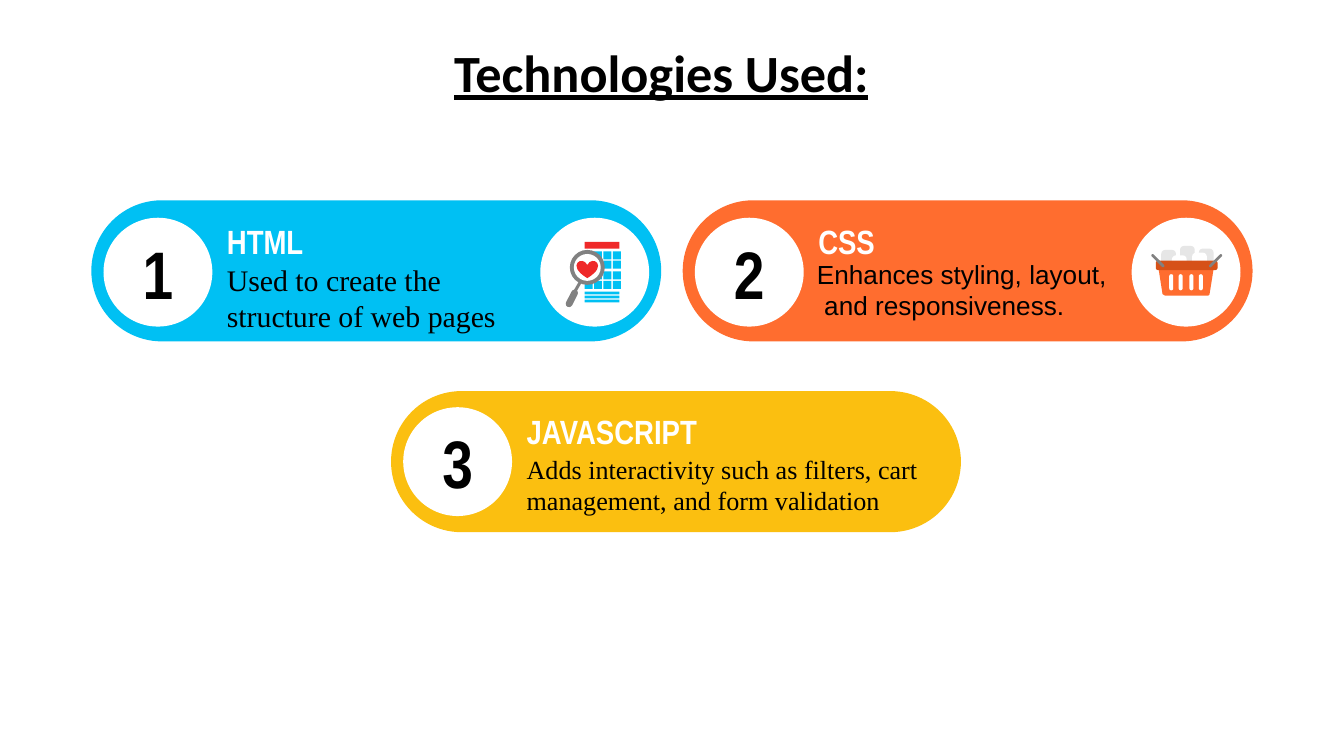
from dataclasses import dataclass
from typing import Callable, Optional

from pptx import Presentation
from pptx.dml.color import RGBColor
from pptx.enum import shapes, text

PX = 9144
SLIDE_WIDTH = 1000
INSET = 10
PRESET = shapes.MSO_SHAPE
ALIGN = text.PP_ALIGN
ANCHOR = text.MSO_ANCHOR


@dataclass(frozen=True)
class Theme:
    ink: str = "000000"
    paper: str = "FFFFFF"
    blue: str = "00C0F3"
    orange: str = "FF6D2F"
    yellow: str = "FBBF10"
    red: str = "EF2929"
    grey: str = "818181"
    pale: str = "E6E6E6"
    rust: str = "D65118"
    title_font: str = "Calibri"
    label_font: str = "Arial Narrow"
    serif_font: str = "Times New Roman"
    sans_font: str = "Arial"
    title_size: int = 28
    number_size: int = 36
    heading_size: int = 18
    large_size: int = 16
    body_size: int = 14


THEME = Theme()


@dataclass(frozen=True)
class Card:
    left: int
    top: int
    color: str
    number: str
    heading: str
    body: str
    font: str
    size: int
    body_box: tuple = (91, 36, 243, 58)
    body_inset: int = INSET
    badge_top: int = 13
    icon: Optional[Callable] = None


def place(shape, left, top, width, height):
    shape.left, shape.top = left * PX, top * PX
    shape.width, shape.height = width * PX, height * PX


def paint(shape, color):
    shape.shadow.inherit = False
    shape.fill.solid()
    shape.fill.fore_color.rgb = RGBColor.from_string(color)
    shape.line.fill.background()


def add_preset(group, preset, box, color, rotation=0):
    shape = group.shapes.add_shape(preset, *(length * PX for length in box))
    paint(shape, color)
    if preset == PRESET.ROUNDED_RECTANGLE:
        shape.adjustments[0] = 0.5
    shape.rotation = rotation
    return shape


def add_polygon(group, left, top, points, color):
    corners = [(left + x, top + y) for x, y in points]
    builder = group.shapes.build_freeform(*corners[0], scale=PX)
    builder.add_line_segments(corners[1:], close=True)
    paint(builder.convert_to_shape(), color)


def write(shape, words, font, size, color, bold=False, underline=False,
          align=ALIGN.LEFT, anchor=ANCHOR.TOP, inset=INSET):
    frame = shape.text_frame
    frame.text = words
    frame.word_wrap = True
    frame.auto_size = text.MSO_AUTO_SIZE.NONE
    frame.vertical_anchor = anchor
    frame.margin_left = frame.margin_right = INSET * PX
    frame.margin_top = frame.margin_bottom = inset * PX
    for paragraph in frame.paragraphs:
        paragraph.alignment = align
        for run in paragraph.runs:
            run.font.name = font
            run.font.size = size * 12700
            run.font.bold = bold
            run.font.underline = underline
            run.font.color.rgb = RGBColor.from_string(color)


def draw_title(slide, box, words):
    title = slide.shapes.title
    place(title, *box)
    write(title, words, THEME.title_font, THEME.title_size, THEME.ink,
          bold=True, underline=True, align=ALIGN.CENTER)


def draw_search_icon(group, left, top):
    def part(preset, x, y, width, height, color, rotation=0):
        add_preset(group, preset, (left + x, top + y, width, height), color, rotation)

    part(PRESET.RECTANGLE, 33, 18, 26, 5, THEME.red)
    for row in range(4):
        for column in range(4):
            part(PRESET.RECTANGLE, 33 + 7 * column, 25 + round(7.33 * row), 6, 6, THEME.blue)
    for line in range(3):
        part(PRESET.RECTANGLE, 33, 55 + 3 * line, 26, 2, THEME.blue)
    part(PRESET.OVAL, 22, 24, 26, 26, THEME.grey)
    part(PRESET.OVAL, 25, 27, 20, 20, THEME.paper)
    add_polygon(group, left, top, [(29, 47), (25, 54), (27, 55), (31, 48)], THEME.grey)
    part(PRESET.ROUNDED_RECTANGLE, 21, 53, 5, 14, THEME.grey, 27)
    part(PRESET.HEART, 27, 32, 16, 13, THEME.red)


def draw_basket_icon(group, left, top):
    def capsule(x, y, width, height, color, rotation=0):
        box = (left + x, top + y, width, height)
        return add_preset(group, PRESET.ROUNDED_RECTANGLE, box, color, rotation)

    goods = [(22, 24, THEME.pale), (36, 21, THEME.pale), (50, 23, THEME.pale),
             (45, 26, THEME.paper), (30, 28, THEME.paper)]
    for x, y, color in goods:
        capsule(x, y, 11, 16, color).adjustments[0] = 0.27
    basket = [(20, 38), (23, 57), (25, 58), (57, 58), (58, 57), (61, 38)]
    add_polygon(group, left, top, basket, THEME.orange)
    capsule(18, 32, 46, 7, THEME.rust).adjustments[0] = 0.25
    for slot in range(4):
        capsule(28 + round(7.33 * slot), 42, 3, 12, THEME.paper)
    for x, rotation in ((13, 45), (56, -45)):
        capsule(x, 31, 13, 2, THEME.grey, rotation)


def draw_card(slide, card):
    group = slide.shapes.add_group_shape()

    def within(x, y, width, height):
        return card.left + x, card.top + y, width, height

    def add_text(box, *args, **options):
        shape = group.shapes.add_textbox(*(length * PX for length in within(*box)))
        write(shape, *args, **options)

    add_preset(group, PRESET.ROUNDED_RECTANGLE, within(0, 0, 424, 105), card.color)
    add_text((91, 11, 243, 38), card.heading, THEME.label_font, THEME.heading_size,
             THEME.paper, bold=True, anchor=ANCHOR.MIDDLE)
    add_text(card.body_box, card.body, card.font, card.size, THEME.ink,
             inset=card.body_inset)
    badge = add_preset(group, PRESET.OVAL, within(9, card.badge_top, 81, 81), THEME.paper)
    write(badge, card.number, THEME.label_font, THEME.number_size, THEME.ink,
          bold=True, align=ALIGN.CENTER, anchor=ANCHOR.MIDDLE)
    if card.icon:
        disc = within(334, 13, 81, 81)
        add_preset(group, PRESET.OVAL, disc, THEME.paper)
        card.icon(group, *disc[:2])


CARDS = [
    Card(68, 149, THEME.blue, "1", "HTML", "Used to create the structure of web pages",
         THEME.serif_font, THEME.large_size, icon=draw_search_icon),
    Card(508, 149, THEME.orange, "2", "CSS",
         "Enhances styling, layout,\n and responsiveness.",
         THEME.sans_font, THEME.body_size, body_box=(90, 38, 402, 57),
         body_inset=5, icon=draw_basket_icon),
    Card(291, 291, THEME.yellow, "3", "JAVASCRIPT",
         "Adds interactivity such as filters, cart management, and form validation",
         THEME.serif_font, THEME.body_size, body_box=(91, 36, 324, 58), badge_top=12),
]


def main():
    presentation = Presentation()
    presentation.slide_width = SLIDE_WIDTH * PX
    presentation.slide_height = presentation.slide_width * 9 // 16
    slide = presentation.slides.add_slide(presentation.slide_layouts[5])
    draw_title(slide, (42, 20, 900, 63), "Technologies Used:")
    for card in CARDS:
        draw_card(slide, card)
    presentation.save("out.pptx")


if __name__ == "__main__":
    main()
